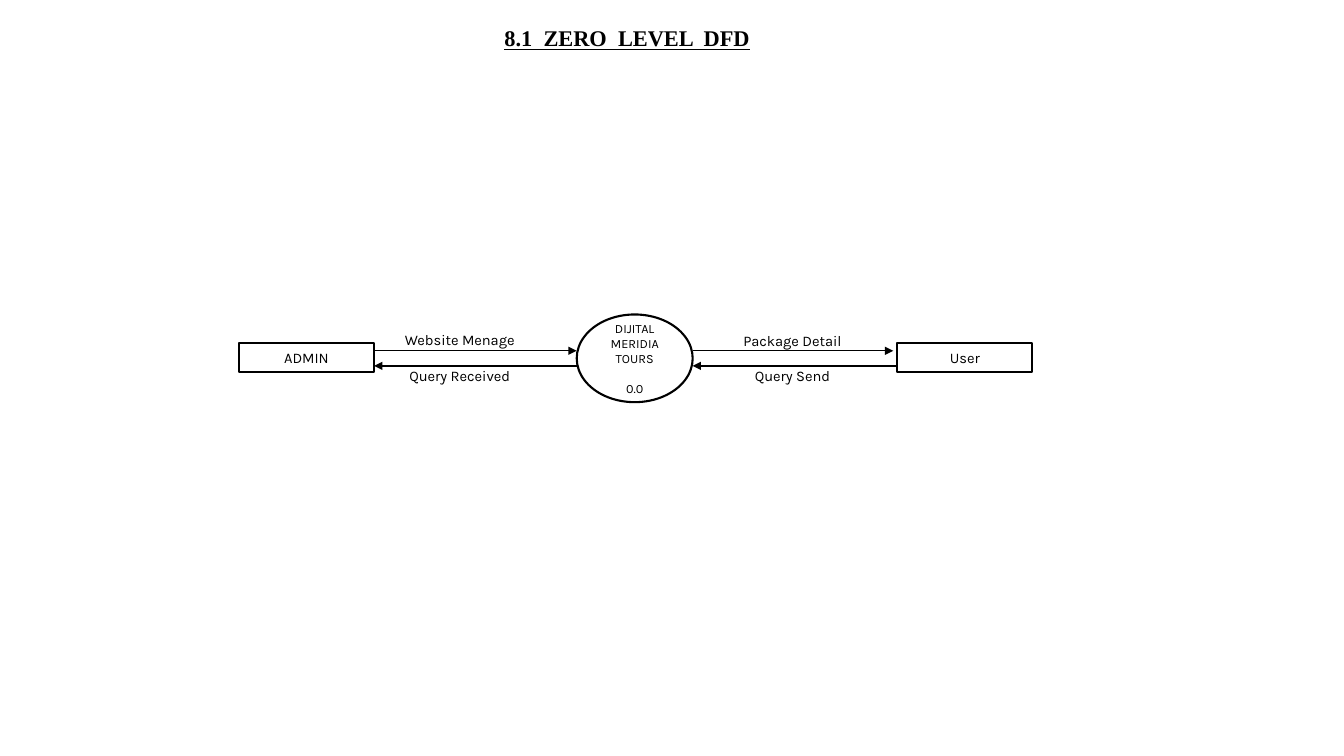
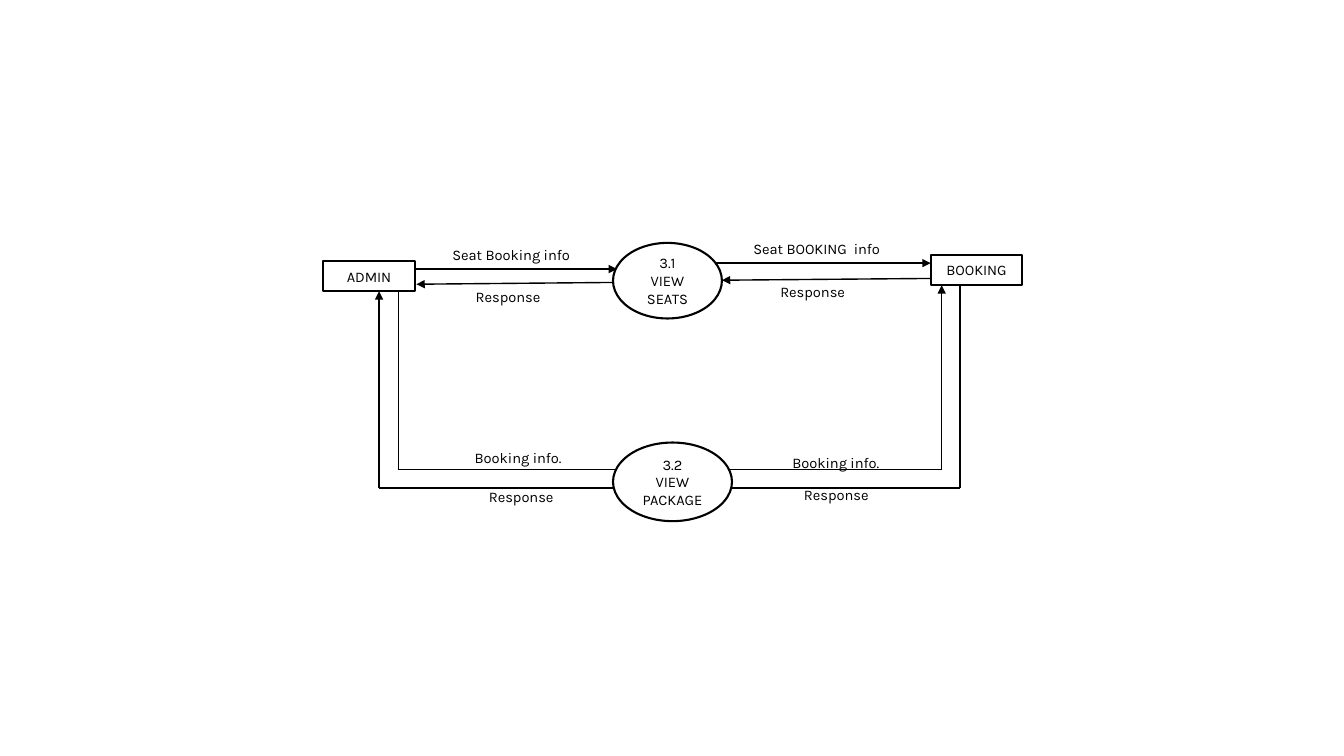
from itertools import pairwise

from lxml.etree import SubElement
from pptx import Presentation
from pptx.dml.color import RGBColor
from pptx.enum.shapes import MSO_CONNECTOR as Connector, MSO_SHAPE as Preset
from pptx.enum.text import MSO_ANCHOR as Anchor, MSO_AUTO_SIZE as AutoSize, PP_ALIGN as Align
from pptx.oxml.ns import qn
from pptx.util import Pt

PX = 9144
INK = "000000"
PAPER = "FFFFFF"
BODY_FONT = "Karla"
TITLE_FONT = "Times New Roman"
TITLE_ONLY, BLANK = 5, 6


def color(value):
    return RGBColor.from_string(value)


def px(*lengths):
    return [length * PX for length in lengths]


def write_text(shape, text, size=10.5, font=BODY_FONT, bold=False, underline=False, last_gap=0):
    frame = shape.text_frame
    frame.word_wrap = True
    frame.auto_size = AutoSize.NONE
    frame.vertical_anchor = Anchor.MIDDLE
    frame.margin_left = frame.margin_right = 5 * PX
    frame.margin_top = frame.margin_bottom = 0
    frame.text = text
    for paragraph in frame.paragraphs:
        paragraph.alignment = Align.CENTER
        paragraph.font.size = Pt(size)
        paragraph.font.name = font
        paragraph.font.bold = bold
        paragraph.font.underline = underline
        paragraph.font.color.rgb = color(INK)
    if last_gap:
        frame.paragraphs[-1].space_before = Pt(last_gap)


def add_title(slide, text, box):
    title = slide.shapes.title
    title.left, title.top, title.width, title.height = px(*box)
    write_text(title, text, size=16, font=TITLE_FONT, bold=True, underline=True)


def add_node(slide, preset, text, box, **text_format):
    shape = slide.shapes.add_shape(preset, *px(*box))
    shape.shadow.inherit = False
    shape.fill.solid()
    shape.fill.fore_color.rgb = color(PAPER)
    shape.line.color.rgb = color(INK)
    shape.line.width = Pt(1.5)
    write_text(shape, text, **text_format)


def add_label(slide, text, box):
    write_text(slide.shapes.add_textbox(*px(*box)), text)


def add_flow(slide, points, arrow=True):
    for start, end in pairwise(points):
        connector = slide.shapes.add_connector(Connector.STRAIGHT, *px(*start, *end))
        connector.line.color.rgb = color(INK)
        connector.line.width = Pt(1)
        SubElement(connector.element.spPr, qn("a:effectLst"))
    if arrow:
        line = connector.element.spPr.find(qn("a:ln"))
        SubElement(line, qn("a:tailEnd"), type="triangle")


def add_diagram(slide, origin, flows, nodes, labels):
    left, top = origin

    def place(box):
        x, y, width, height = box
        return left + x, top + y, width, height

    for points, arrow in flows:
        add_flow(slide, [(left + x, top + y) for x, y in points], arrow)
    for preset, text, box, text_format in nodes:
        add_node(slide, preset, text, place(box), **text_format)
    for text, box in labels:
        add_label(slide, text, place(box))


def add_zero_level(slide, origin):
    flows = [
        ([(135, 36), (335, 36)], True),
        ([(336, 51), (134, 51)], True),
        ([(450, 36), (649, 36)], True),
        ([(653, 51), (450, 51)], True),
    ]
    nodes = [
        (Preset.OVAL, "DIJITAL MERIDIA TOURS\n0.0", (335, 0, 115, 87), {"size": 9, "last_gap": 10.5}),
        (Preset.RECTANGLE, "ADMIN", (0, 28, 134, 29), {}),
        (Preset.RECTANGLE, "User", (653, 28, 134, 29), {}),
    ]
    labels = [
        ("Website Menage", (147, 10, 144, 29)),
        ("Query Received", (147, 46, 144, 29)),
        ("Package Detail", (477, 11, 144, 29)),
        ("Query Send", (477, 46, 144, 29)),
    ]
    add_diagram(slide, origin, flows, nodes, labels)


def add_booking_level(slide, origin):
    flows = [
        ([(75, 26), (292, 26)], True),
        ([(310, 39), (93, 41)], True),
        ([(377, 20), (603, 20)], True),
        ([(632, 35), (396, 37)], True),
        ([(75, 48), (75, 225), (309, 225)], False),
        ([(308, 243), (56, 243), (56, 48)], True),
        ([(383, 225), (614, 225), (614, 42)], True),
        ([(632, 41), (632, 243), (383, 243)], False),
    ]
    nodes = [
        (Preset.OVAL, "3.1\nVIEW\nSEATS", (288, 0, 108, 75), {}),
        (Preset.OVAL, "3.2\nVIEW\nPACKAGE", (288, 198, 118, 78), {}),
        (Preset.RECTANGLE, "ADMIN", (0, 18, 92, 30), {}),
        (Preset.RECTANGLE, "BOOKING", (603, 12, 91, 30), {}),
    ]
    labels = [
        ("Seat Booking info", (112, -2, 150, 28)),
        ("Response", (106, 35, 156, 37)),
        ("Seat BOOKING  info", (406, -8, 168, 27)),
        ("Response", (427, 36, 118, 24)),
        ("Booking info.", (126, 195, 136, 37)),
        ("Response", (144, 239, 106, 25)),
        ("Booking info.", (427, 201, 164, 33)),
        ("Response", (456, 235, 107, 30)),
    ]
    add_diagram(slide, origin, flows, nodes, labels)


def main():
    presentation = Presentation()
    presentation.slide_width, presentation.slide_height = px(1333, 750)
    layouts = presentation.slide_layouts

    zero_level = presentation.slides.add_slide(layouts[TITLE_ONLY])
    add_title(zero_level, "8.1  ZERO  LEVEL  DFD", (372, 19, 500, 37))
    add_zero_level(zero_level, (237, 312))

    booking_level = presentation.slides.add_slide(layouts[BLANK])
    add_booking_level(booking_level, (320, 241))

    presentation.save("out.pptx")


if __name__ == "__main__":
    main()
